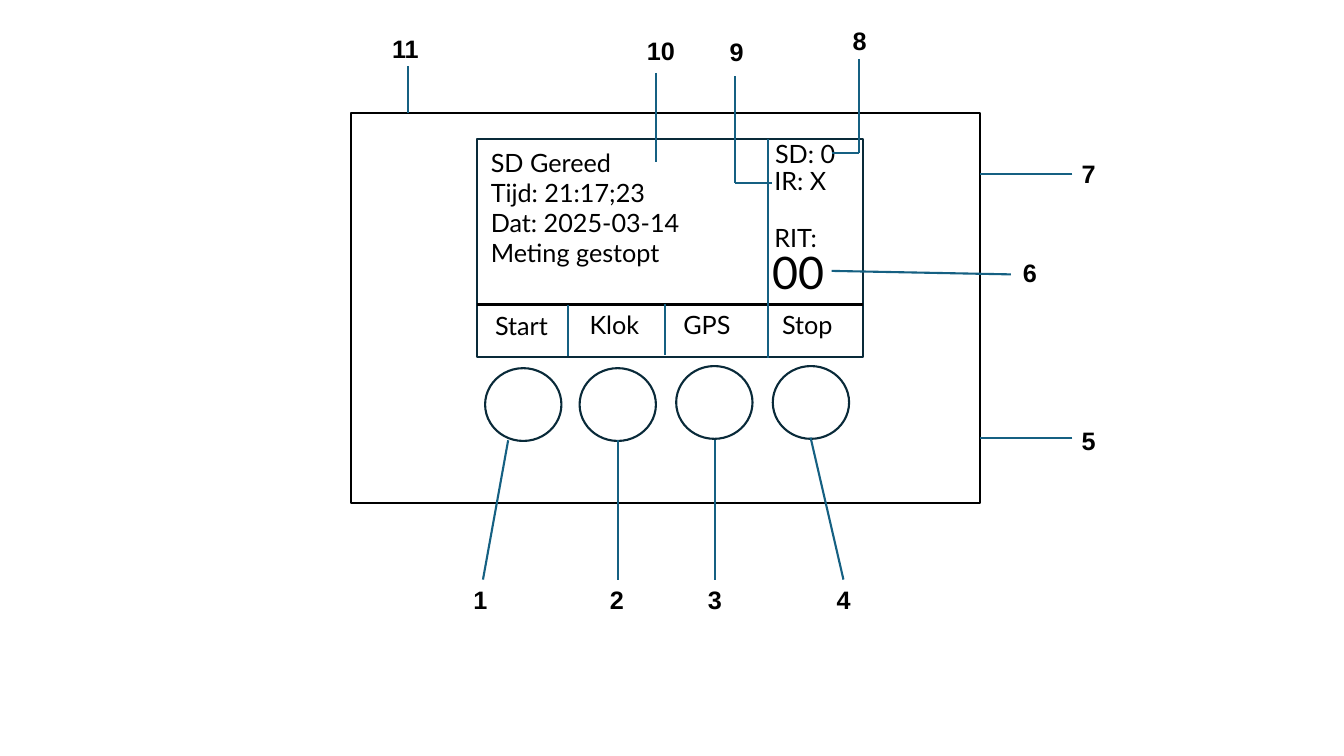
from itertools import pairwise

from lxml import etree
from pptx import Presentation
from pptx.dml.color import RGBColor
from pptx.enum.shapes import MSO_CONNECTOR, MSO_SHAPE
from pptx.enum.text import MSO_AUTO_SIZE
from pptx.oxml.ns import qn
from pptx.util import Pt

BLACK = RGBColor(0x00, 0x00, 0x00)
WHITE = RGBColor(0xFF, 0xFF, 0xFF)
NAVY = RGBColor(0x09, 0x2A, 0x39)
TEAL = RGBColor(0x15, 0x60, 0x82)

RECT = MSO_SHAPE.RECTANGLE
OVAL = MSO_SHAPE.OVAL
STRAIGHT = MSO_CONNECTOR.STRAIGHT
GROW = MSO_AUTO_SIZE.SHAPE_TO_FIT_TEXT

SCREEN_FONT = {"name": "Lato", "size": Pt(18), "bold": False}
LAP_FONT = {**SCREEN_FONT, "size": Pt(32)}
NUMBER_FONT = {"name": "Arial", "size": Pt(18), "bold": True}
FRAME = {"word_wrap": True, "auto_size": GROW}

CASE = (250.5, 80.5, 449.5, 278.5)
SCREEN = (340.5, 99.5, 276, 155.5)
BUTTON_SIZE = (54.5, 52)
KEY_SIZE = (67.5, 29)
NUMBER_SIZE = (90, 29)

BUTTONS = [(346.5, 263), (414, 263), (483, 261.5), (552, 261.5)]
KEYS = [("Start", 346.5, 218), ("Klok", 414, 217.5),
        ("GPS", 481, 217.5), ("Stop", 551.5, 217.5)]
STATUS = [("SD: 0", 546.5, 95), ("IR: X", 546, 114.5), ("RIT:", 546, 155)]
MESSAGES = ["SD Gereed", "Tijd: 21:17;23", "Dat: 2025-03-14", "Meting gestopt"]
DIVIDERS = [(406, 218, 254), (475, 217.5, 253.5), (548.5, 99.5, 255.5)]

CALLOUTS = [
    ("1", (331, 414), [(345, 414), (363, 314.5)]),
    ("2", (428.5, 414), [(441.5, 414), (441.5, 314.5)]),
    ("3", (498.5, 413.5), [(510.5, 414), (510.5, 314.5)]),
    ("4", (590.5, 414), [(602.5, 414), (579, 312.5)]),
    ("5", (765.5, 300), [(766, 313), (700, 313)]),
    ("6", (723.5, 180), [(722, 196), (594, 193.5)]),
    ("7", (765.5, 109.5), [(766, 124), (700, 124)]),
    ("8", (602, 14.5), [(613.5, 42), (613.5, 109.5), (594, 109.5)]),
    ("9", (514, 22.5), [(525, 54.5), (525, 130.5), (551.5, 130.5)]),
    ("10", (455, 21.5), [(468.5, 52), (468.5, 116)]),
    ("11", (273, 20), [(291.5, 47.5), (291.5, 80.5)]),
]


class Diagram:
    """Draws outlined shapes, text and leader lines on one slide, in points."""

    def __init__(self, s, weight=1.5):
        self.s = s
        self.weight = Pt(weight)

    def shape(self, kind, box, color):
        sp = self.s.shapes.add_shape(kind, *map(Pt, box))
        sp.shadow.inherit = False
        sp.fill.solid()
        sp.fill.fore_color.rgb = WHITE
        sp.line.color.rgb = color
        sp.line.width = self.weight

    def text(self, lines, box, font):
        tf = self.s.shapes.add_textbox(*map(Pt, box)).text_frame
        for key, value in FRAME.items():
            setattr(tf, key, value)
        for i, line in enumerate(lines):
            p = tf.add_paragraph() if i else tf.paragraphs[0]
            r = p.add_run()
            r.text = line
            r.font.color.rgb = BLACK
            for key, value in font.items():
                setattr(r.font, key, value)

    def line(self, points, color=TEAL):
        for start, end in pairwise(points):
            c = self.s.shapes.add_connector(STRAIGHT, *map(Pt, start + end))
            c.line.color.rgb = color
            c.line.width = self.weight
            etree.SubElement(c._element.spPr, qn("a:effectLst"))


def main():
    prs = Presentation()
    prs.slide_width, prs.slide_height = Pt(960), Pt(540)
    d = Diagram(prs.slides.add_slide(prs.slide_layouts[6]))

    d.shape(RECT, CASE, BLACK)
    d.shape(RECT, SCREEN, NAVY)
    for button in BUTTONS:
        d.shape(OVAL, button + BUTTON_SIZE, NAVY)

    d.line([(340.5, 217.5), (616.5, 217.5)], BLACK)
    for x, top, bottom in DIVIDERS:
        d.line([(x, top), (x, bottom)])

    for label, x, y in KEYS + STATUS:
        d.text([label], (x, y) + KEY_SIZE, SCREEN_FONT)
    d.text(["00"], (544.5, 171.5, 67.5, 46), LAP_FONT)
    d.text(MESSAGES, (343.5, 101.5, 200, 94.5), SCREEN_FONT)

    for number, place, leader in CALLOUTS:
        d.line(leader)
        d.text([number], place + NUMBER_SIZE, NUMBER_FONT)

    prs.save("out.pptx")


if __name__ == "__main__":
    main()
